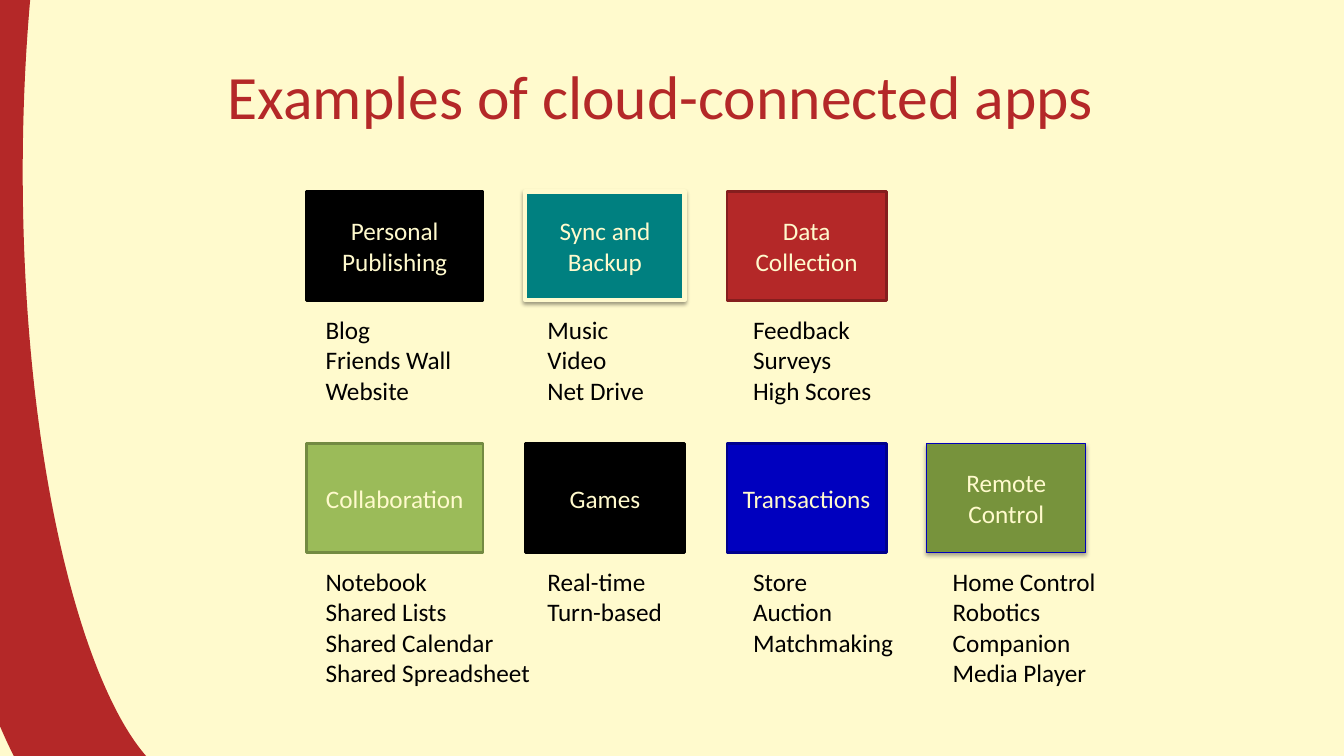
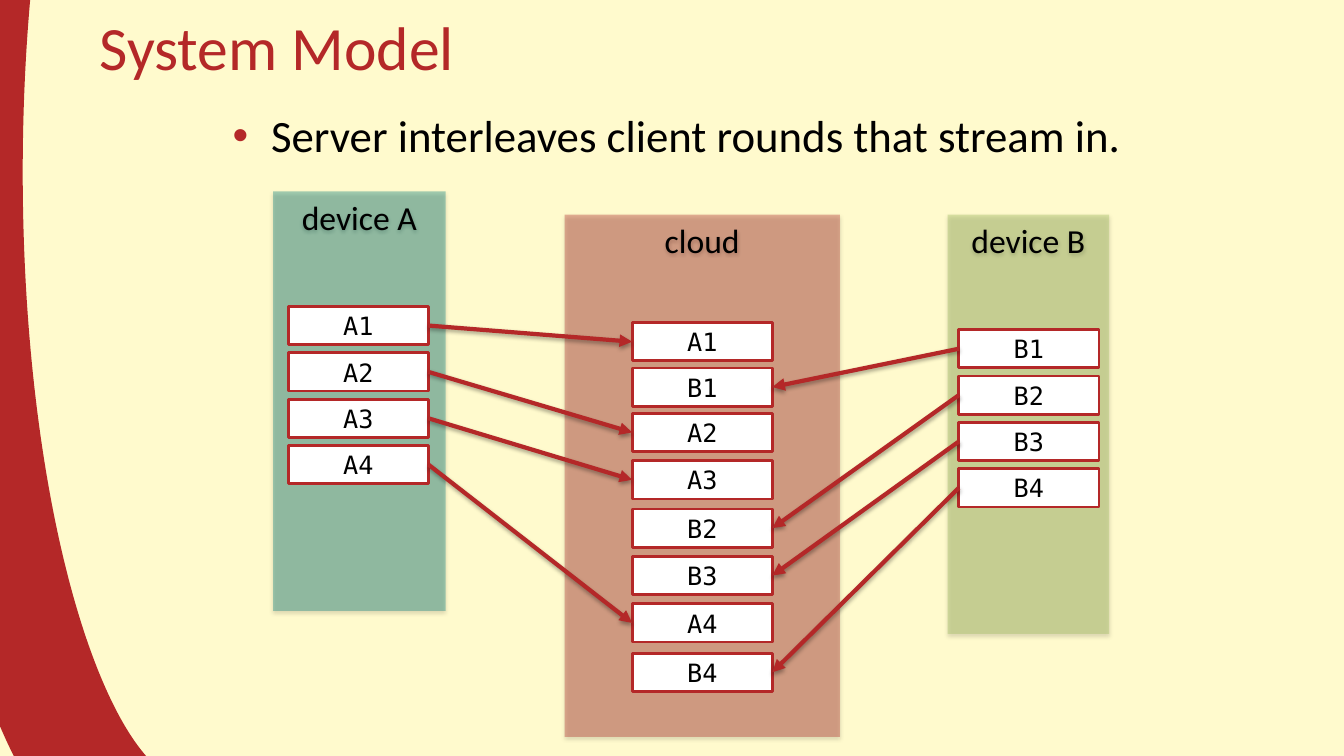
import pptx
import pptx.util
import pptx.dml.color
import pptx.enum.shapes
import pptx.enum.text
import pptx.oxml.ns
import lxml.etree

Inches = pptx.util.Inches
Pt = pptx.util.Pt
RGBColor = pptx.dml.color.RGBColor
MSO_SHAPE = pptx.enum.shapes.MSO_SHAPE
PP_ALIGN = pptx.enum.text.PP_ALIGN
MSO_ANCHOR = pptx.enum.text.MSO_ANCHOR
qn = pptx.oxml.ns.qn

COLORS = {
    "cream": "FFFACD", "red": "B42828", "dark red": "851E1E",
    "black": "000000", "white": "FFFFFF", "teal": "008080",
    "green": "9BBB59", "dark green": "738A42", "olive": "77933C",
    "blue": "0000BF", "dark blue": "00008D", "line blue": "0000BB",
}
BODY_FONT = "Calibri"
CODE_FONT = "DejaVu Sans Mono"
TITLE_SIZE = 44


def set_shadow(shape, opacity=0, distance=1.6):
    """Give a shape or connector a soft shadow, or none at zero opacity."""
    effects = lxml.etree.SubElement(shape.element.spPr, qn("a:effectLst"))
    if opacity:
        shadow = lxml.etree.SubElement(
            effects, qn("a:outerShdw"), blurRad=str(Pt(3.1)),
            dist=str(Pt(distance)), dir="5400000", rotWithShape="0")
        color = lxml.etree.SubElement(shadow, qn("a:srgbClr"), val=COLORS["black"])
        lxml.etree.SubElement(color, qn("a:alpha"), val=str(opacity * 1000))


def add_box(slide, bounds, lines, size, color="black", font=BODY_FONT,
            align=PP_ALIGN.CENTER, anchor=MSO_ANCHOR.MIDDLE,
            fill=None, opacity=100, line=None, line_width=2, shadow=(0,)):
    """Add text in a rectangle, or in a plain text box when there is no fill."""
    position = [Inches(length) for length in bounds]
    if fill:
        shape = slide.shapes.add_shape(MSO_SHAPE.RECTANGLE, *position)
        shape.fill.solid()
        shape.fill.fore_color.rgb = RGBColor.from_string(COLORS[fill])
        if opacity < 100:
            fill_color = shape.element.spPr.find(".//" + qn("a:srgbClr"))
            lxml.etree.SubElement(fill_color, qn("a:alpha"), val=str(opacity * 1000))
        if line:
            shape.line.color.rgb = RGBColor.from_string(COLORS[line])
            shape.line.width = Pt(line_width)
        else:
            shape.line.fill.background()
        set_shadow(shape, *shadow)
    else:
        shape = slide.shapes.add_textbox(*position)
    frame = shape.text_frame
    frame.word_wrap = True
    frame.vertical_anchor = anchor
    for index, text in enumerate(lines):
        paragraph = frame.add_paragraph() if index else frame.paragraphs[0]
        paragraph.alignment = align
        run = paragraph.add_run()
        run.text = text
        run.font.size = Pt(size)
        run.font.name = font
        run.font.color.rgb = RGBColor.from_string(COLORS[color])
    return shape


presentation = pptx.Presentation()
presentation.slide_width = Inches(13.33)
presentation.slide_height = Inches(7.5)
blank_layout = presentation.slide_layouts[6]
master = presentation.slide_master

# Slides, each with its title
titles = [
    ("Examples of cloud-connected apps", (2.16, 0.3, 9.33, 1.28)),
    ("System Model", (0.89, -0.17, 12, 1.25)),
]
slides = []
for title, bounds in titles:
    slide = presentation.slides.add_slide(blank_layout)
    add_box(slide, bounds, [title], TITLE_SIZE, "red", align=PP_ALIGN.LEFT)
    slides.append(slide)
examples_slide, model_slide = slides

# Shared background and red band, kept on the master
master.background.fill.solid()
master.background.fill.fore_color.rgb = RGBColor.from_string(COLORS["cream"])
band = examples_slide.shapes.add_shape(
    MSO_SHAPE.ARC, Inches(-0.33), Inches(-4.83), Inches(4.11), Inches(13.08))
band.adjustments[0] = 177.665
band.adjustments[1] = 55.34
band.element.spPr.find(qn("a:xfrm")).set("flipH", "1")
band.fill.background()
band.line.color.rgb = RGBColor.from_string(COLORS["red"])
band.line.width = Pt(80)
set_shadow(band)
master.shapes.element.append(band.element)

# Slide 1: app categories with their examples
# Each column: box left, box width, list left
columns = [(3.04, 1.75, 3.13), (5.21, 1.58, 5.33), (7.21, 1.58, 7.37), (9.19, 1.58, 9.35)]
# Each category: name, fill, line, line width, shadow, examples
category_rows = [
    (1.9, [
        ("Personal Publishing", "black", "black", 2, (0,),
         ["Blog", "Friends Wall", "Website"]),
        ("Sync and Backup", "teal", "cream", 3, (38,),
         ["Music", "Video", "Net Drive"]),
        ("Data Collection", "red", "dark red", 2, (0,),
         ["Feedback", "Surveys", "High Scores"]),
    ]),
    (4.4, [
        ("Collaboration", "green", "dark green", 2, (0,),
         ["Notebook", "Shared Lists", "Shared Calendar", "Shared Spreadsheet"]),
        ("Games", "black", "black", 2, (0,),
         ["Real-time", "Turn-based"]),
        ("Transactions", "blue", "dark blue", 2, (0,),
         ["Store", "Auction", "Matchmaking"]),
        ("Remote Control", "olive", "line blue", 0.75, (35, 1.8),
         ["Home Control", "Robotics", "Companion", "Media Player"]),
    ]),
]
for top, categories in category_rows:
    for column, category in zip(columns, categories):
        left, width, list_left = column
        name, fill, line, line_width, shadow, examples = category
        add_box(examples_slide, (left, top, width, 1.08), [name], 18, "cream",
                fill=fill, line=line, line_width=line_width, shadow=shadow)
        add_box(examples_slide, (list_left, top + 1.17, 2.25, 0.1 + 0.3 * len(examples)),
                examples, 18, align=PP_ALIGN.LEFT, anchor=MSO_ANCHOR.TOP)

# Slide 2: bullet
bullet_box = add_box(model_slide, (2.21, 1.02, 9.32, 0.7),
                     ["Server interleaves client rounds that stream in."], 32,
                     align=PP_ALIGN.LEFT, anchor=MSO_ANCHOR.TOP)
properties = bullet_box.text_frame.paragraphs[0]._p.get_or_add_pPr()
properties.set("marL", str(Inches(0.38)))
properties.set("indent", str(Inches(-0.38)))
bullet_color = lxml.etree.SubElement(properties, qn("a:buClr"))
lxml.etree.SubElement(bullet_color, qn("a:srgbClr"), val=COLORS["red"])
lxml.etree.SubElement(properties, qn("a:buFont"), typeface="Arial")
lxml.etree.SubElement(properties, qn("a:buChar"), char="•")

# Panels with their rounds: name, bounds, fill, round left, {round: top}
panels = [
    ("device A", (2.71, 1.9, 1.71, 4.16), "teal", 2.86,
     {f"A{i + 1}": 3.04 + 0.46 * i for i in range(4)}),
    ("cloud", (5.6, 2.13, 2.73, 5.18), "red", 6.27,
     {"A1": 3.2, "B1": 3.65, "A2": 4.1, "A3": 4.57,
      "B2": 5.05, "B3": 5.52, "A4": 5.99, "B4": 6.48}),
    ("device B", (9.4, 2.13, 1.6, 4.16), "green", 9.51,
     {f"B{i + 1}": 3.27 + 0.46 * i for i in range(4)}),
]
rounds = {}
for name, bounds, fill, round_left, round_tops in panels:
    add_box(model_slide, bounds, [name], 24, anchor=MSO_ANCHOR.TOP,
            fill=fill, opacity=35, shadow=(38,))
    rounds[name] = {
        label: add_box(model_slide, (round_left, top, 1.39, 0.38), [label], 18,
                       font=CODE_FONT, fill="white", line="red")
        for label, top in round_tops.items()}

# Arrows from each device round to the same round in the cloud
LEFT_SIDE, RIGHT_SIDE = 1, 3
for device, start_side, end_side in [("device A", RIGHT_SIDE, LEFT_SIDE),
                                     ("device B", LEFT_SIDE, RIGHT_SIDE)]:
    for label, device_round in rounds[device].items():
        arrow = model_slide.shapes.add_connector(
            pptx.enum.shapes.MSO_CONNECTOR.STRAIGHT, 0, 0, 0, 0)
        arrow.begin_connect(device_round, start_side)
        arrow.end_connect(rounds["cloud"][label], end_side)
        arrow.line.color.rgb = RGBColor.from_string(COLORS["red"])
        arrow.line.width = Pt(3)
        outline = arrow.element.spPr.find(qn("a:ln"))
        lxml.etree.SubElement(outline, qn("a:tailEnd"), type="triangle")
        set_shadow(arrow, 35, 1.8)

presentation.save("out.pptx")
